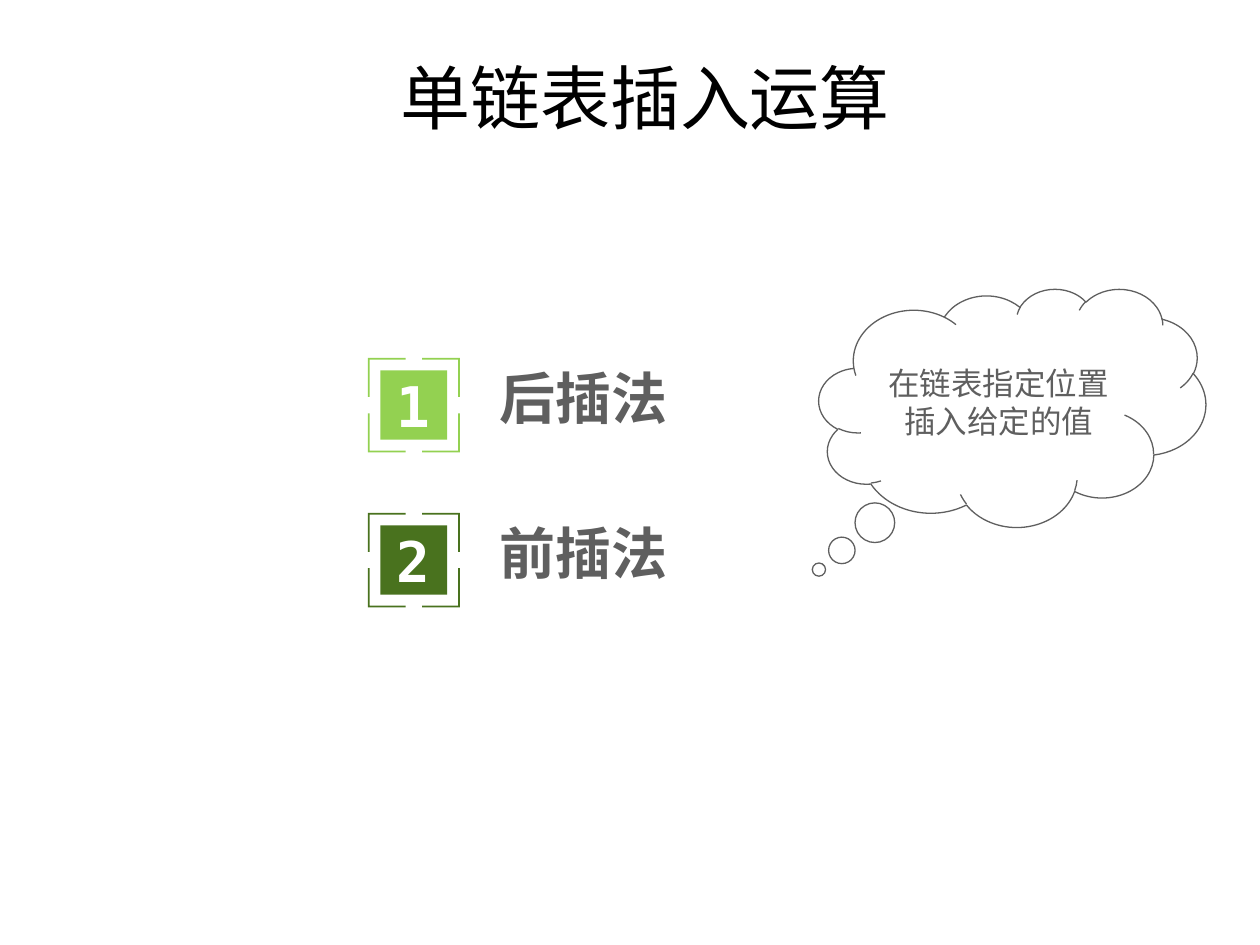
from lxml.etree import SubElement
from pptx import Presentation
from pptx.dml.color import RGBColor
from pptx.enum.shapes import MSO_SHAPE
from pptx.enum.text import MSO_ANCHOR, PP_ALIGN
from pptx.oxml.ns import qn
from pptx.util import Inches, Pt

COLORS = {"black": "000000", "white": "FFFFFF", "grey": "5F5F5F",
          "light_green": "93D151", "dark_green": "49721E"}
MONO, CJK = "DejaVu Sans Mono", "Noto Sans CJK SC"
METHODS = [("1", "后插法", "light_green"), ("2", "前插法", "dark_green")]


def rgb(name):
    return RGBColor.from_string(COLORS[name])


def place(sp, left, top, width, height):
    sp.left, sp.top = Inches(left), Inches(top)
    sp.width, sp.height = Inches(width), Inches(height)


def write(tf, text, size, color, font=MONO, bold=False,
          align=PP_ALIGN.CENTER, anchor=MSO_ANCHOR.MIDDLE):
    tf.word_wrap = True
    tf.vertical_anchor = anchor
    p = tf.paragraphs[0]
    p.alignment = align
    r = p.add_run()
    r.text = text
    r.font.size = Pt(size)
    r.font.bold = bold
    r.font.name = font
    r.font.color.rgb = rgb(color)
    SubElement(r.font._element, qn("a:ea"), typeface=CJK)


def set_margins(tf, left=0, top=0, right=0, bottom=0):
    tf.margin_left, tf.margin_top = Inches(left), Inches(top)
    tf.margin_right, tf.margin_bottom = Inches(right), Inches(bottom)


def fill_plain(sp, color):
    sp.shadow.inherit = False
    sp.fill.solid()
    sp.fill.fore_color.rgb = rgb(color)
    sp.line.fill.background()


def add_corner_frame(shapes, left, top, width, height, color):
    """Four L-shaped corners drawn as one outline."""
    arm_x, arm_y, thick = Inches(0.3), Inches(0.31), Pt(1)
    x0, y0 = Inches(left), Inches(top)
    x1, y1 = x0 + Inches(width), y0 + Inches(height)
    builder = None
    for x, dx in ((x0, 1), (x1, -1)):
        for y, dy in ((y0, 1), (y1, -1)):
            if builder is None:
                builder = shapes.build_freeform(x, y)
            else:
                builder.move_to(x, y)
            steps = [(arm_x, 0), (arm_x, thick), (thick, thick),
                     (thick, arm_y), (0, arm_y)]
            builder.add_line_segments(
                [(x + dx * a, y + dy * b) for a, b in steps], close=True)
    fill_plain(builder.convert_to_shape(), color)


def add_number_badge(s, top, number, color):
    shapes = s.shapes.add_group_shape().shapes
    sp = shapes.add_shape(MSO_SHAPE.RECTANGLE, Inches(3.02), Inches(top + 0.1),
                          Inches(0.53), Inches(0.55))
    fill_plain(sp, color)
    write(sp.text_frame, number, 32, "white", bold=True)
    add_corner_frame(shapes, 2.92, top, 0.73, 0.75, color)


def add_method_label(s, top, text):
    sp = s.shapes.add_textbox(Inches(3.87), Inches(top), Inches(2.87), Inches(0.54))
    set_margins(sp.text_frame, left=0.1)
    write(sp.text_frame, text, 32, "grey", bold=True,
          align=PP_ALIGN.LEFT, anchor=MSO_ANCHOR.BOTTOM)


def add_thought_cloud(s, text):
    sp = s.shapes.add_shape(MSO_SHAPE.CLOUD_CALLOUT, Inches(6.5), Inches(2.29),
                            Inches(3.07), Inches(1.89))
    sp.adjustments[0], sp.adjustments[1] = -0.5, 0.68
    sp.shadow.inherit = False
    sp.fill.background()
    sp.line.color.rgb = rgb("grey")
    sp.line.width = Pt(0.75)
    set_margins(sp.text_frame, 0.1, 0.05, 0.1, 0.05)
    write(sp.text_frame, text, 18, "grey", font=CJK)


def main():
    prs = Presentation()
    prs.slide_width, prs.slide_height = Inches(10), Inches(7.5)
    s = prs.slides.add_slide(prs.slide_layouts[5])
    place(s.shapes.title, 0.35, 0.38, 9.54, 0.77)
    write(s.shapes.title.text_frame, "单链表插入运算", 40, "black")
    for i, (number, name, color) in enumerate(METHODS):
        top = 2.84 + 1.23 * i
        add_method_label(s, top + 0.04, name)
        add_number_badge(s, top, number, color)
    add_thought_cloud(s, "在链表指定位置插入给定的值")
    prs.save("out.pptx")


if __name__ == "__main__":
    main()
